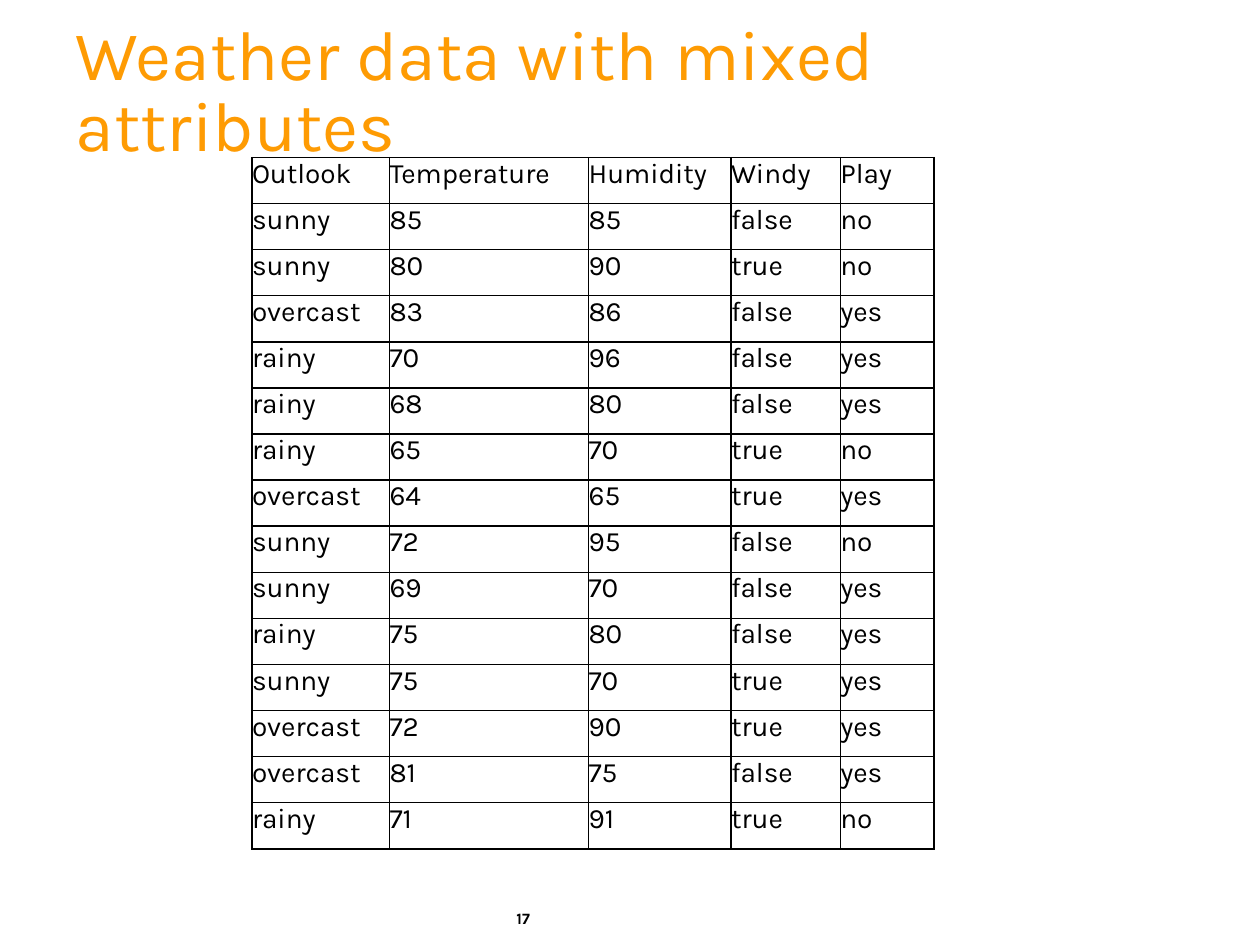
from lxml.etree import SubElement
from pptx import Presentation
from pptx.dml.color import RGBColor
from pptx.enum.text import MSO_ANCHOR, MSO_AUTO_SIZE, PP_ALIGN
from pptx.oxml.ns import qn
from pptx.util import Pt

FONT = "Karla"
BLACK = RGBColor(0x00, 0x00, 0x00)
ORANGE = RGBColor(0xFE, 0x9B, 0x03)

WIDTHS = [78.6, 113.8, 81.4, 62.5, 53.4]
ROW_HEIGHT = 26.35
HANG = 22.5
DATA = """Outlook Temperature Humidity Windy Play
sunny 85 85 false no
sunny 80 90 true no
overcast 83 86 false yes
rainy 70 96 false yes
rainy 68 80 false yes
rainy 65 70 true no
overcast 64 65 true yes
sunny 72 95 false no
sunny 69 70 false yes
rainy 75 80 false yes
sunny 75 70 true yes
overcast 72 90 true yes
overcast 81 75 false yes
rainy 71 91 true no"""


def set_text(frame, text, size, color, bold=False):
    frame.text = text
    para = frame.paragraphs[0]
    para.alignment = PP_ALIGN.LEFT
    font = para.runs[0].font
    font.name, font.size, font.bold = FONT, Pt(size), bold
    font.color.rgb = color
    return para


def add_title(slide, text):
    title = slide.shapes.title
    title.left, title.top = Pt(36), Pt(18)
    title.width, title.height = Pt(654), Pt(72)
    frame = title.text_frame
    frame.word_wrap = True
    frame.auto_size = MSO_AUTO_SIZE.NONE
    frame.vertical_anchor = MSO_ANCHOR.MIDDLE
    set_text(frame, text, 40, ORANGE).line_spacing = 0.85


def add_number(slide, text):
    box = slide.shapes.add_textbox(Pt(288), Pt(516), Pt(73.5), Pt(24))
    box.text_frame.word_wrap = True
    set_text(box.text_frame, text, 9, BLACK, bold=True)


def add_borders(cell):
    props = cell._tc.get_or_add_tcPr()
    for side in ("a:lnL", "a:lnR", "a:lnT", "a:lnB"):
        line = SubElement(props, qn(side), w=str(Pt(1)))
        fill = SubElement(line, qn("a:solidFill"))
        SubElement(fill, qn("a:srgbClr"), val=str(BLACK))


def fill_cell(cell, text):
    cell.margin_left = cell.margin_right = 0
    cell.margin_top = cell.margin_bottom = 0
    para = set_text(cell.text_frame, text, 16, BLACK)
    # Hanging indent
    props = para._p.get_or_add_pPr()
    props.set("marL", str(Pt(HANG)))
    props.set("indent", str(Pt(-HANG)))
    add_borders(cell)
    cell.fill.background()


def add_grid(slide, rows):
    frame = slide.shapes.add_table(
        len(rows), len(WIDTHS), Pt(144), Pt(90),
        Pt(sum(WIDTHS)), Pt(ROW_HEIGHT * len(rows)))
    table = frame.table
    table.first_row = table.horz_banding = False
    for column, width in zip(table.columns, WIDTHS):
        column.width = Pt(width)
    for row, words in zip(table.rows, rows):
        row.height = Pt(ROW_HEIGHT)
        for cell, word in zip(row.cells, words):
            fill_cell(cell, word)


def main():
    deck = Presentation()
    deck.slide_width, deck.slide_height = Pt(720), Pt(540)
    slide = deck.slides.add_slide(deck.slide_layouts[5])

    # Page number and title
    add_number(slide, "17")
    add_title(slide, "Weather data with mixed attributes")

    # Weather table
    add_grid(slide, [line.split() for line in DATA.splitlines()])

    deck.save("out.pptx")


if __name__ == "__main__":
    main()
